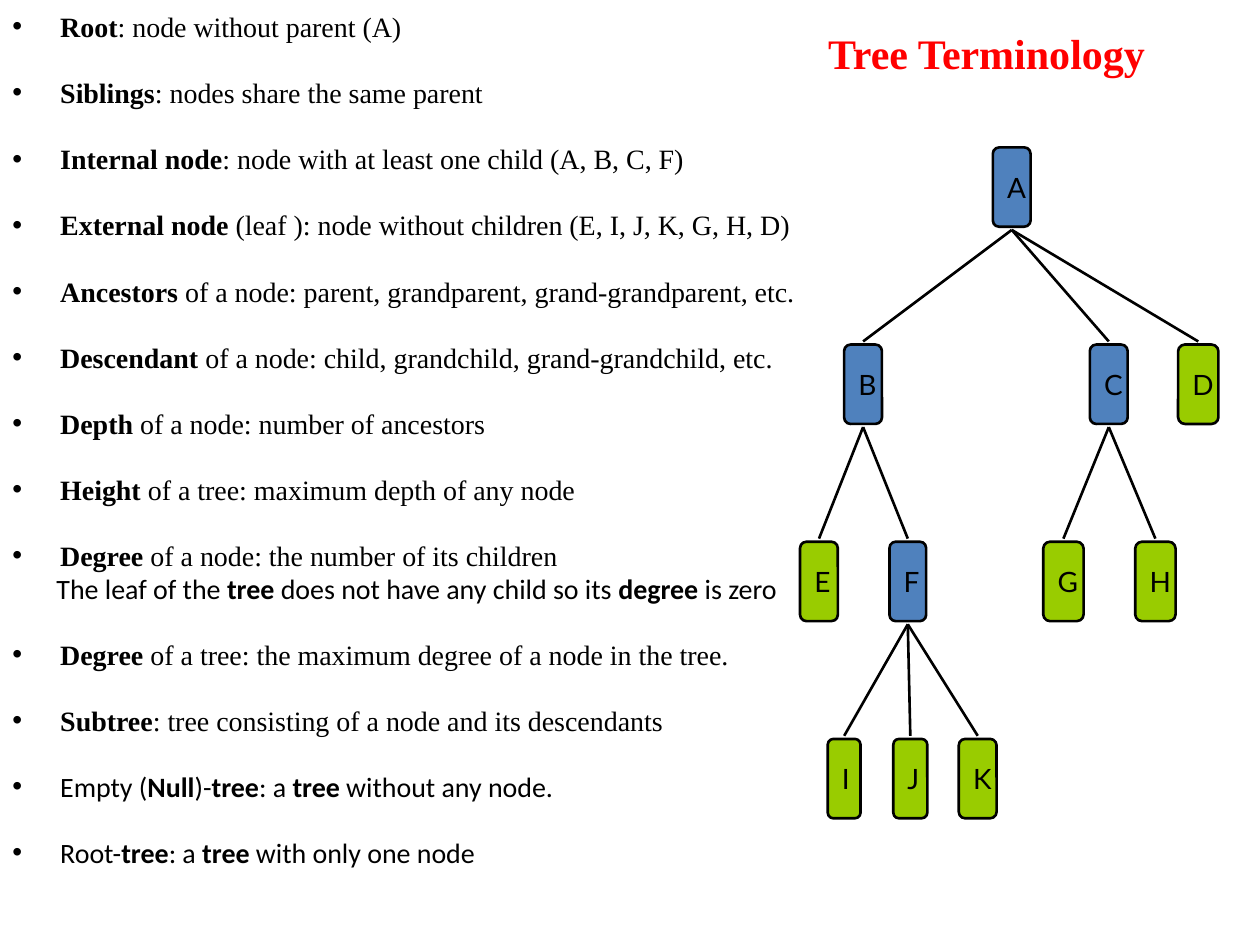
from lxml import etree
from pptx import Presentation
from pptx.dml.color import RGBColor
from pptx.enum.shapes import MSO_CONNECTOR, MSO_SHAPE
from pptx.enum.text import MSO_ANCHOR, MSO_AUTO_SIZE, PP_ALIGN
from pptx.oxml.ns import qn
from pptx.util import Inches, Pt

ROUNDED, STRAIGHT = MSO_SHAPE.ROUNDED_RECTANGLE, MSO_CONNECTOR.STRAIGHT
MIDDLE, CENTER, JUSTIFY = MSO_ANCHOR.MIDDLE, PP_ALIGN.CENTER, PP_ALIGN.JUSTIFY
NO_AUTOFIT, FIT_SHAPE = MSO_AUTO_SIZE.NONE, MSO_AUTO_SIZE.SHAPE_TO_FIT_TEXT

BLACK = RGBColor(0x00, 0x00, 0x00)
RED = RGBColor(0xFF, 0x00, 0x00)
INTERNAL_BLUE = RGBColor(0x4F, 0x81, 0xBD)
LEAF_GREEN = RGBColor(0x99, 0xCC, 0x00)
SERIF, SANS, NODE_FONT = "Times New Roman", "Calibri", "Lato"

# Font, bulleted, text; every second part between asterisks is bold
DEFINITIONS = [
    (SERIF, True, "*Root*: node without parent (A)"),
    (SERIF, True, "*Siblings*: nodes share the same parent"),
    (SERIF, True, "*Internal node*: node with at least one child (A, B, C, F)"),
    (SERIF, True, "*External node* (leaf ): node without children (E, I, J, K, G, H, D)"),
    (SERIF, True, "*Ancestors* of a node: parent, grandparent, grand-grandparent, etc."),
    (SERIF, True, "*Descendant* of a node: child, grandchild, grand-grandchild, etc."),
    (SERIF, True, "*Depth* of a node: number of ancestors"),
    (SERIF, True, "*Height* of a tree: maximum depth of any node"),
    (SERIF, True, "*Degree* of a node: the number of its children"),
    (SANS, False, "The leaf of the *tree* does not have any child so its *degree* is zero"),
    (SERIF, True, "*Degree* of a tree: the maximum degree of a node in the tree."),
    (SERIF, True, "*Subtree*: tree consisting of a node and its descendants"),
    (SANS, True, "Empty (*Null*)-*tree*: a *tree* without any node."),
    (SANS, True, "Root-*tree*: a *tree* with only one node"),
]

# Node: level, left, width
NODES = {
    "A": (0, 7.88, 0.3),
    "B": (1, 6.7, 0.3), "C": (1, 8.65, 0.3), "D": (1, 9.35, 0.32),
    "E": (2, 6.35, 0.3), "F": (2, 7.06, 0.29),
    "G": (2, 8.28, 0.32), "H": (2, 9.01, 0.32),
    "I": (3, 6.57, 0.26), "J": (3, 7.09, 0.27), "K": (3, 7.61, 0.3),
}
CHILDREN = {"A": "BCD", "B": "EF", "C": "GH", "F": "IJK"}
TREE_TOP, LEVEL_STEP, NODE_HEIGHT = 1.17, 1.565, 0.63
EDGE_GAP = Inches(0.025)

prs = Presentation()
prs.slide_width, prs.slide_height = Inches(10), Inches(7.5)
slide = prs.slides.add_slide(prs.slide_layouts[5])

# Title
title = slide.shapes.title
title.left, title.top = Inches(5.83), Inches(0.08)
title.width, title.height = Inches(4), Inches(0.67)
title.text_frame.text = "Tree Terminology"
title.text_frame.vertical_anchor = MIDDLE
heading = title.text_frame.paragraphs[0]
heading.alignment = CENTER
heading.font.name, heading.font.size = SERIF, Pt(24)
heading.font.bold, heading.font.color.rgb = True, RED

# Definitions
glossary = slide.shapes.add_textbox(Inches(0), Inches(0.08), Inches(6.43), Inches(6.75))
frame = glossary.text_frame
frame.word_wrap, frame.auto_size = True, NO_AUTOFIT
for i, (font, bulleted, text) in enumerate(DEFINITIONS):
    entry = frame.add_paragraph() if i else frame.paragraphs[0]
    entry.alignment, entry.line_spacing = JUSTIFY, 0.8
    entry.space_before = Pt(22.4) if i and bulleted else Pt(3.5)
    entry.font.name, entry.font.size, entry.font.color.rgb = font, Pt(16), BLACK
    for j, part in enumerate(text.split("*")):
        if part:
            run = entry.add_run()
            run.text, run.font.bold = part, j % 2 == 1
    props = entry._p.get_or_add_pPr()
    if bulleted:
        props.set("marL", str(Inches(0.38)))
        props.set("indent", str(-Inches(0.38)))
        bullet_font = etree.Element(qn("a:buFont"), typeface="Arial")
        bullet = etree.Element(qn("a:buChar"), char="•")
        at = props.index(props.find(qn("a:defRPr")))
        props[at:at] = [bullet_font, bullet]
    else:
        props.set("marL", str(Inches(0.35)))

# Tree nodes
tree = slide.shapes.add_group_shape()
boxes = {}
for name, (level, left, width) in NODES.items():
    top = TREE_TOP + level * LEVEL_STEP
    node = tree.shapes.add_shape(
        ROUNDED, Inches(left), Inches(top), Inches(width), Inches(NODE_HEIGHT))
    node.shadow.inherit = False
    node.fill.solid()
    node.fill.fore_color.rgb = INTERNAL_BLUE if name in CHILDREN else LEAF_GREEN
    node.line.color.rgb, node.line.width = BLACK, Pt(1.5)
    label = node.text_frame
    label.text, label.vertical_anchor = name, MIDDLE
    label.word_wrap, label.auto_size = False, FIT_SHAPE
    letter = label.paragraphs[0]
    letter.alignment = CENTER
    letter.font.name, letter.font.size, letter.font.color.rgb = NODE_FONT, Pt(16), BLACK
    boxes[name] = node

# Tree edges
for parent, children in CHILDREN.items():
    upper = boxes[parent]
    for child in children:
        lower = boxes[child]
        edge = tree.shapes.add_connector(
            STRAIGHT,
            upper.left + upper.width // 2, upper.top + upper.height + EDGE_GAP,
            lower.left + lower.width // 2, lower.top - EDGE_GAP)
        edge.line.color.rgb, edge.line.width = BLACK, Pt(1.5)
        etree.SubElement(edge._element.spPr, qn("a:effectLst"))

prs.save("out.pptx")
